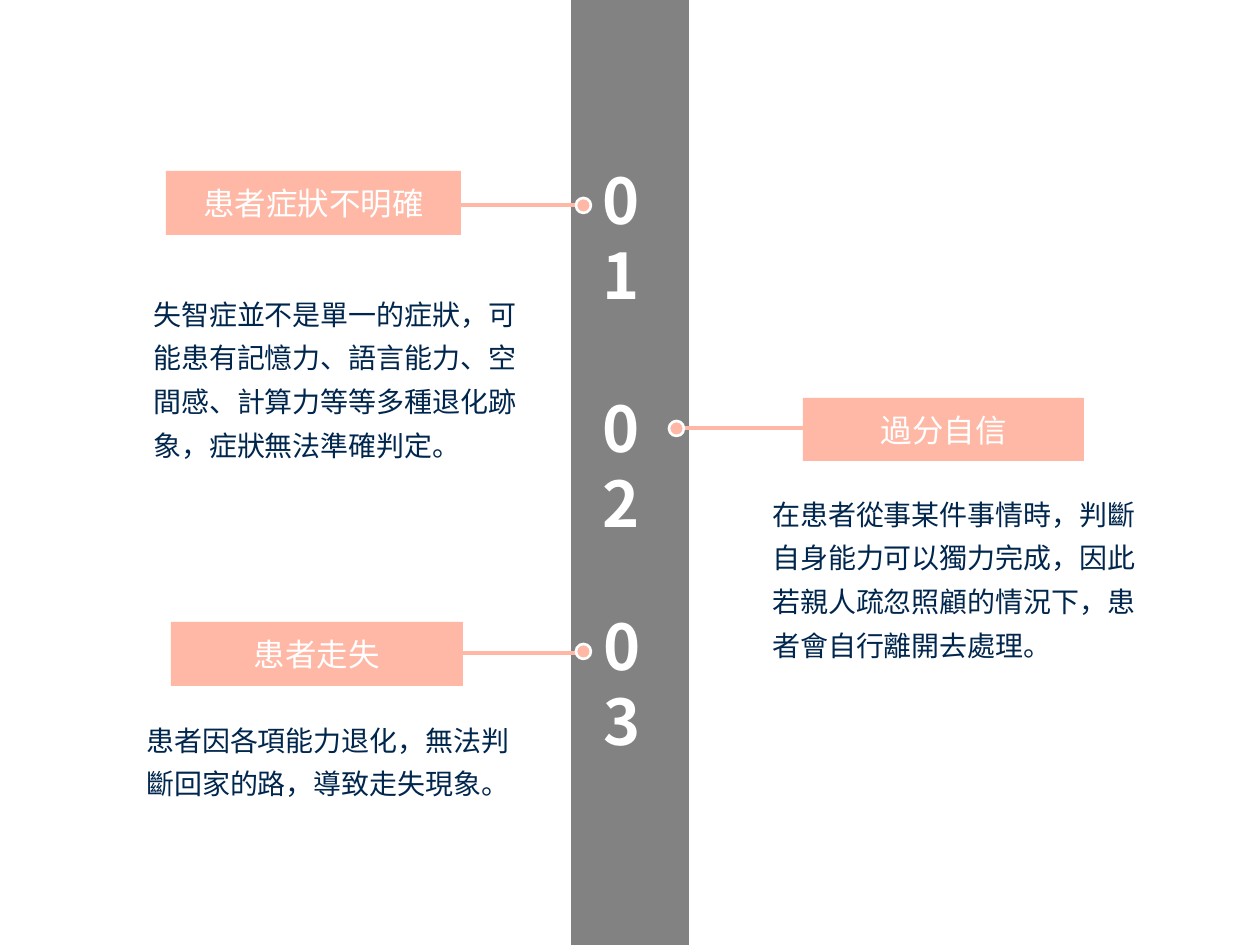
from lxml.etree import SubElement
from pptx import Presentation
from pptx.dml.color import RGBColor
from pptx.enum.shapes import MSO_CONNECTOR, MSO_SHAPE
from pptx.enum.text import MSO_ANCHOR, PP_ALIGN
from pptx.oxml.ns import qn
from pptx.util import Pt

PX = 914400 / 126
FONT = "Noto Sans CJK SC"
GREY = RGBColor(0x40, 0x40, 0x40)
PINK = RGBColor(0xFE, 0xB8, 0xA5)
NAVY = RGBColor(0x00, 0x26, 0x4D)
WHITE = RGBColor(0xFF, 0xFF, 0xFF)

ITEMS = [
    ("01", (590, 155), (457, 576, 205), (576, 198),
     "患者症狀不明確", (166, 171, 295, 64),
     "失智症並不是單一的症狀，可能患有記憶力、語言能力、空間感、計算力等等多種退化跡象，症狀無法準確判定。",
     (141, 281, 407, 188)),
    ("02", (590, 383), (803, 684, 428), (669, 421),
     "過分自信", (803, 398, 281, 63),
     "在患者從事某件事情時，判斷自身能力可以獨力完成，因此若親人疏忽照顧的情況下，患者會自行離開去處理。",
     (760, 481, 407, 188)),
    ("03", (591, 601), (457, 577, 653), (576, 644),
     "患者走失", (171, 622, 292, 64),
     "患者因各項能力退化，無法判斷回家的路，導致走失現象。",
     (134, 707, 407, 101)),
]


def scale(*lengths):
    """Turn px lengths into EMU."""
    return [round(length * PX) for length in lengths]


def write(shape, text, size, color, bold=False, align=PP_ALIGN.LEFT, space=None):
    """Put one styled paragraph into a shape."""
    frame = shape.text_frame
    frame.word_wrap = True
    frame.text = text
    para = frame.paragraphs[0]
    para.alignment = align
    para.line_spacing = space
    font = para.runs[0].font
    font.size = Pt(size)
    font.bold = bold
    font.name = FONT
    font.color.rgb = color
    SubElement(para.runs[0]._r.rPr, qn("a:ea"), typeface=FONT)


def add_text(slide, box, text, size, color, **style):
    """Add a text box."""
    write(slide.shapes.add_textbox(*scale(*box)), text, size, color, **style)


def add_block(slide, kind, box, fill):
    """Add a filled shape with no outline."""
    shape = slide.shapes.add_shape(kind, *scale(*box))
    shape.shadow.inherit = False
    shape.fill.solid()
    shape.fill.fore_color.rgb = fill
    shape.line.fill.background()
    return shape


def add_band(slide):
    """Add the translucent centre band."""
    band = add_block(slide, MSO_SHAPE.RECTANGLE, (571, 0, 118, 945), GREY)
    color = band._element.spPr.find(qn("a:solidFill"))[0]
    SubElement(color, qn("a:alpha"), val="65000")


def add_line(slide, start, end, y):
    """Add a level line from a label to its dot."""
    line = slide.shapes.add_connector(MSO_CONNECTOR.STRAIGHT, *scale(start, y, end, y))
    line.line.color.rgb = PINK
    line.line.width = Pt(2.25)
    SubElement(line._element.spPr, qn("a:effectLst"))


def add_dot(slide, x, y):
    """Add a white-ringed dot."""
    dot = add_block(slide, MSO_SHAPE.OVAL, (x, y, 15, 15), PINK)
    dot.line.color.rgb = WHITE
    dot.line.width = Pt(1.5)


def add_label(slide, box, text):
    """Add a pink heading box."""
    label = add_block(slide, MSO_SHAPE.RECTANGLE, box, PINK)
    label.text_frame.vertical_anchor = MSO_ANCHOR.MIDDLE
    write(label, text, 18, WHITE, align=PP_ALIGN.CENTER)


def main():
    """Build and save the slide."""
    deck = Presentation()
    deck.slide_width, deck.slide_height = scale(1260, 945)
    slide = deck.slides.add_slide(deck.slide_layouts[6])
    add_band(slide)
    for number, spot, line, dot, title, label, body, box in ITEMS:
        add_text(slide, (*spot, 96, 88), number, 36, WHITE, bold=True)
        add_line(slide, *line)
        add_dot(slide, *dot)
        add_label(slide, label, title)
        add_text(slide, box, body, 16, NAVY, space=1.3)
    deck.save("out.pptx")


if __name__ == "__main__":
    main()
